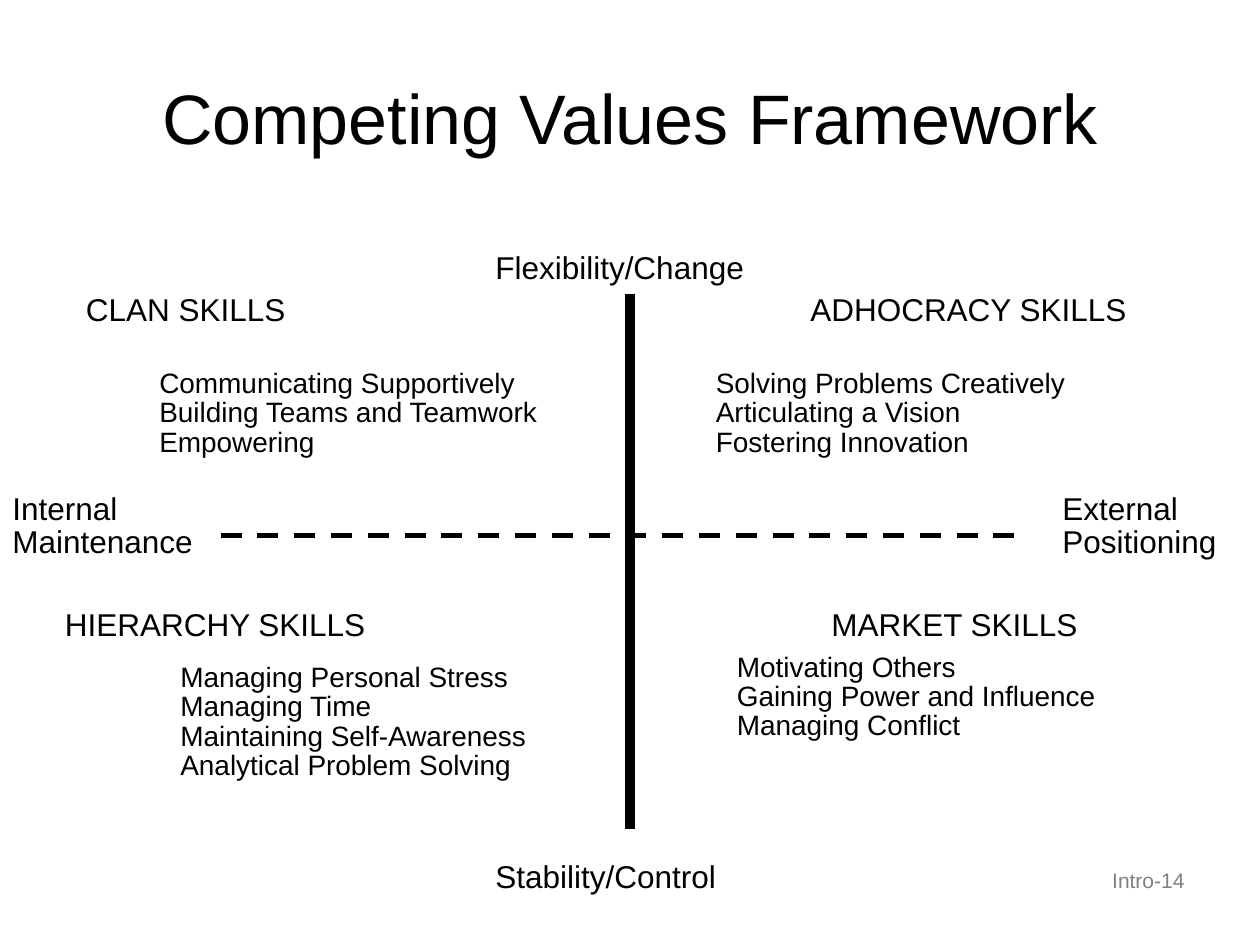
from typing import NamedTuple

from lxml.etree import SubElement
from pptx import Presentation
from pptx.dml.color import RGBColor
from pptx.enum.dml import MSO_LINE_DASH_STYLE as Dash
from pptx.enum.shapes import MSO_CONNECTOR_TYPE as Connector
from pptx.enum.text import MSO_ANCHOR as Anchor, MSO_AUTO_SIZE as AutoSize, PP_ALIGN as Align
from pptx.oxml.ns import qn
from pptx.util import Inches, Length, Pt

FONT = "Arial"
COLORS = {"ink": "000000", "muted": "808080", "paper": "FFFFFF"}
CELLS_PER_INCH = 12
TITLE_ONLY = 5


class Area(NamedTuple):
    column: float
    row: float
    columns: float
    rows: float


class Label(NamedTuple):
    area: Area
    lines: tuple[str, ...]
    size: int = 18
    color: str = "ink"
    align: Align = Align.LEFT
    grows: bool = True


class Axis(NamedTuple):
    start: tuple[float, float]
    end: tuple[float, float]
    width: float
    dash: Dash


TITLE = Label(Area(6, 3.6, 108, 15), ("Competing Values Framework",), 40, align=Align.CENTER)
LABELS = [
    Label(Area(86, 82, 28, 6.25), ("Intro-14",), 12, "muted", Align.RIGHT, False),
    Label(Area(46, 23, 29, 4.8), ("Flexibility/Change",)),
    Label(Area(46, 81, 30, 4.8), ("Stability/Control",)),
    Label(Area(0, 48, 20, 5.6), ("Internal", "Maintenance")),
    Label(Area(100, 48, 20, 5.6), ("External", "Positioning")),
    Label(Area(7, 27, 23, 4.8), ("CLAN SKILLS",)),
    Label(Area(76, 27, 36, 4.8), ("ADHOCRACY SKILLS",)),
    Label(Area(5, 57, 32, 4.8), ("HIERARCHY SKILLS",)),
    Label(Area(78, 57, 30, 4.8), ("MARKET SKILLS",)),
    Label(Area(14, 36, 43, 7.9),
          ("Communicating Supportively", "Building Teams and Teamwork", "Empowering"), 16),
    Label(Area(67, 36, 43, 7.9),
          ("Solving Problems Creatively", "Articulating a Vision", "Fostering Innovation"), 16),
    Label(Area(16, 64, 37, 10.7),
          ("Managing Personal Stress", "Managing Time",
           "Maintaining Self-Awareness", "Analytical Problem Solving"), 16),
    Label(Area(69, 63, 37, 7.9),
          ("Motivating Others", "Gaining Power and Influence", "Managing Conflict"), 16),
]
AXES = [
    Axis((60, 28), (60, 79), 6, Dash.SOLID),
    Axis((21, 51), (97, 51), 3, Dash.DASH),
]


def cells(count: float) -> Length:
    """Convert grid cells to a length."""
    return Inches(count / CELLS_PER_INCH)


def rgb(name: str) -> RGBColor:
    """Look up a named colour."""
    return RGBColor.from_string(COLORS[name])


def write(box, label: Label) -> None:
    """Fill a text shape with a label's lines and format them."""
    frame = box.text_frame
    frame.text = "\n".join(label.lines)
    frame.word_wrap = True
    for index, para in enumerate(frame.paragraphs):
        para.alignment = label.align
        if len(label.lines) > 1:
            para.line_spacing = 0.35
        if index:
            para.space_before = Pt(label.size * 0.625)
        for span in para.runs:
            span.font.name = FONT
            span.font.size = Pt(label.size)
            span.font.color.rgb = rgb(label.color)


def add_label(page, label: Label) -> None:
    """Place a label in a text box on the grid."""
    box = page.shapes.add_textbox(*map(cells, label.area))
    write(box, label)
    box.text_frame.auto_size = AutoSize.SHAPE_TO_FIT_TEXT if label.grows else AutoSize.NONE


def set_title(page, label: Label) -> None:
    """Move, fill and format the title placeholder."""
    title = page.shapes.title
    title.left, title.top, title.width, title.height = map(cells, label.area)
    write(title, label)
    title.text_frame.vertical_anchor = Anchor.MIDDLE


def add_axis(page, axis: Axis) -> None:
    """Draw one axis of the framework."""
    line = page.shapes.add_connector(Connector.STRAIGHT, *map(cells, axis.start + axis.end))
    line.line.color.rgb = rgb("ink")
    line.line.width = Pt(axis.width)
    line.line.dash_style = axis.dash
    SubElement(line._element.spPr, qn("a:effectLst"))


def main() -> None:
    """Build and save the slide."""
    deck = Presentation()
    deck.slide_width, deck.slide_height = cells(120), cells(90)
    page = deck.slides.add_slide(deck.slide_layouts[TITLE_ONLY])
    page.background.fill.solid()
    page.background.fill.fore_color.rgb = rgb("paper")
    set_title(page, TITLE)
    for axis in AXES:
        add_axis(page, axis)
    for label in LABELS:
        add_label(page, label)
    deck.save("out.pptx")


if __name__ == "__main__":
    main()
